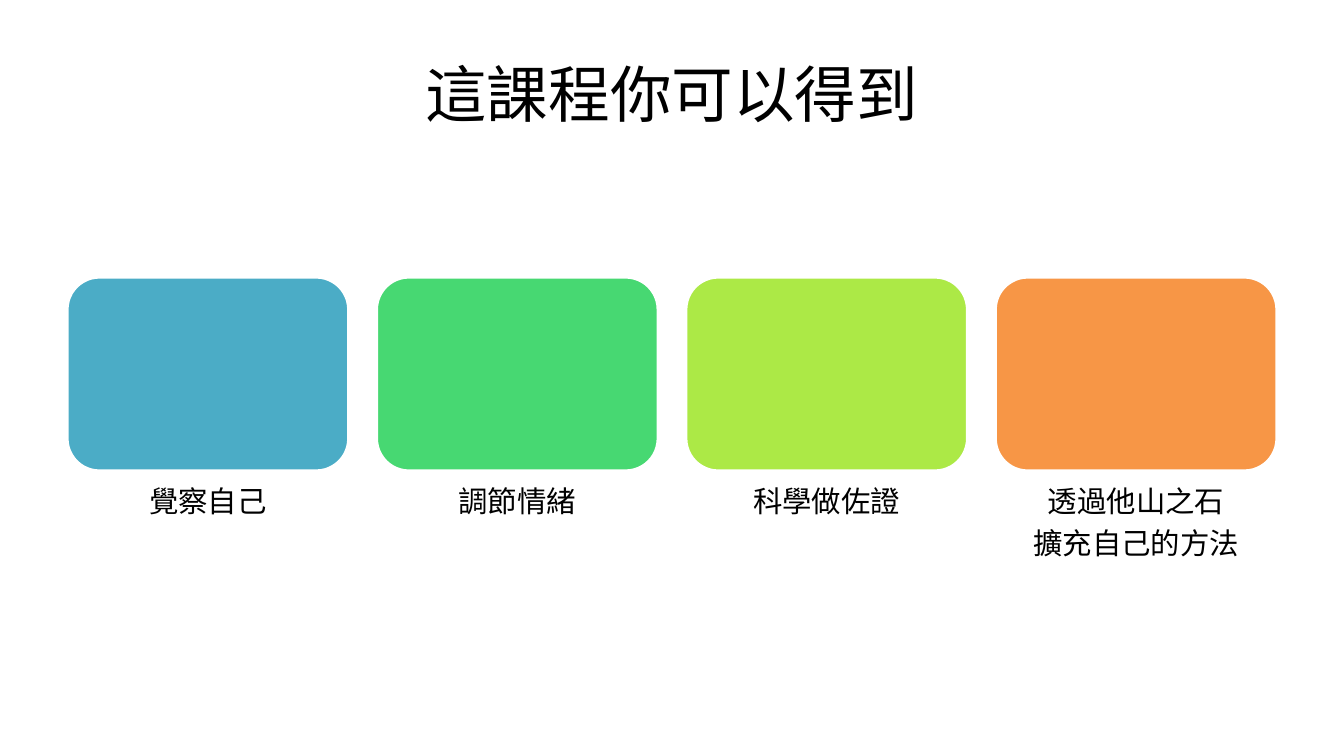
from pptx import Presentation
from pptx.dml.color import RGBColor
from pptx.enum.shapes import MSO_SHAPE
from pptx.enum.text import MSO_ANCHOR, PP_ALIGN
from pptx.util import Pt

ROUNDED = MSO_SHAPE.ROUNDED_RECTANGLE
CENTER = PP_ALIGN.CENTER
MIDDLE, TOP = MSO_ANCHOR.MIDDLE, MSO_ANCHOR.TOP

TITLE = "這課程你可以得到"
BENEFITS = [
    ("4BACC6", ["覺察自己"]),
    ("47D872", ["調節情緒"]),
    ("ACE946", ["科學做佐證"]),
    ("F79646", ["透過他山之石", "擴充自己的方法"]),
]

SLIDE_W, SLIDE_H = 960, 540
MARGIN, GAP = 48, 20
CONTENT_W = SLIDE_W - 2 * MARGIN
CARD_W = (CONTENT_W - GAP * (len(BENEFITS) - 1)) / len(BENEFITS)
CARD_TOP, CARD_H, CAPTION_H = 198, 138.3, 74.5
INSET = 11.6
CAPTION_SIZE = 21


def color(hex_code):
    return RGBColor.from_string(hex_code)


def write(tf, lines, size):
    tf.word_wrap = True
    for i, line in enumerate(lines):
        p = tf.paragraphs[0] if i == 0 else tf.add_paragraph()
        p.text = line
        p.alignment = CENTER
        p.font.name = "Calibri"
        p.font.size = Pt(size)
        p.font.color.rgb = color("000000")


def add_card(s, left, fill):
    card = s.shapes.add_shape(ROUNDED, Pt(left), Pt(CARD_TOP), Pt(CARD_W), Pt(CARD_H))
    card.shadow.inherit = False
    card.fill.solid()
    card.fill.fore_color.rgb = color(fill)
    card.line.color.rgb = color("FFFFFF")
    card.line.width = Pt(2)


def add_caption(s, left, lines):
    box = s.shapes.add_textbox(Pt(left), Pt(CARD_TOP + CARD_H), Pt(CARD_W), Pt(CAPTION_H))
    tf = box.text_frame
    tf.margin_left = tf.margin_right = tf.margin_top = Pt(INSET)
    tf.margin_bottom = 0
    tf.vertical_anchor = TOP
    write(tf, lines, CAPTION_SIZE)
    for p in tf.paragraphs:
        p.line_spacing = 0.9
        p.space_after = Pt(0.35 * CAPTION_SIZE)


prs = Presentation()
prs.slide_width, prs.slide_height = Pt(SLIDE_W), Pt(SLIDE_H)
s = prs.slides.add_slide(prs.slide_layouts[5])

title = s.shapes.title
title.left, title.top, title.width, title.height = Pt(MARGIN), Pt(21.6), Pt(CONTENT_W), Pt(90)
title.text_frame.vertical_anchor = MIDDLE
write(title.text_frame, [TITLE], 44)

for i, (fill, lines) in enumerate(BENEFITS):
    left = MARGIN + i * (CARD_W + GAP)
    add_card(s, left, fill)
    add_caption(s, left, lines)

prs.save("out.pptx")
